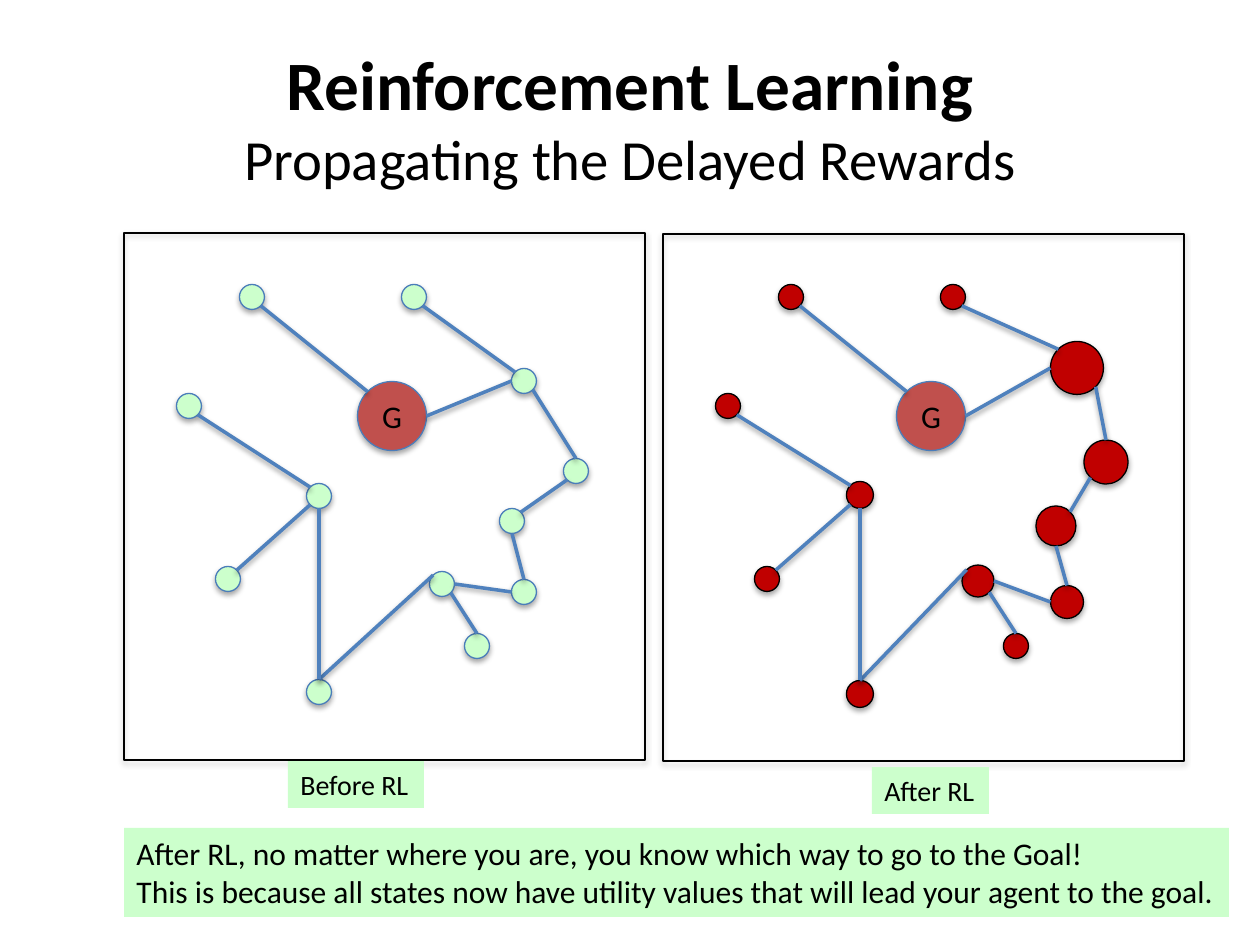
from math import cos, radians, sin

from lxml.etree import SubElement
from pptx import Presentation
from pptx.dml.color import RGBColor
from pptx.enum.shapes import MSO_CONNECTOR as Connector, MSO_SHAPE as Shape
from pptx.enum.text import MSO_ANCHOR as Anchor, MSO_AUTO_SIZE as AutoSize, PP_ALIGN as Align
from pptx.oxml.ns import qn
from pptx.util import Pt

PX = 914400 / 126
BLACK = RGBColor(0x00, 0x00, 0x00)
GOAL_RED = RGBColor(0xC0, 0x50, 0x4D)
VALUE_RED = RGBColor(0xC0, 0x00, 0x00)
MINT = RGBColor(0xCC, 0xFF, 0xCC)
RIM_BLUE = RGBColor(0x4A, 0x7D, 0xBA)
EDGE_BLUE = RGBColor(0x4F, 0x81, 0xBD)

TOP, TOP_LEFT, LEFT, BOTTOM_LEFT, BOTTOM, BOTTOM_RIGHT, RIGHT, TOP_RIGHT = range(8)


def px(*lengths):
    return [round(length * PX) for length in lengths]


def cast_shadow(item, distance, opacity):
    effects = SubElement(item._element.spPr, qn("a:effectLst"))
    shadow = SubElement(effects, qn("a:outerShdw"), blurRad="40000", dist=str(distance),
                        dir="5400000", rotWithShape="0")
    color = SubElement(shadow, qn("a:srgbClr"), val=str(BLACK))
    SubElement(color, qn("a:alpha"), val=str(opacity))


deck = Presentation()
deck.slide_width, deck.slide_height = px(1260, 945)
page = deck.slides.add_slide(deck.slide_layouts[5])

title = page.shapes.title
title.left, title.top, title.width, title.height = px(63, 38, 1134, 157)
title.text_frame.vertical_anchor = Anchor.MIDDLE
para = title.text_frame.paragraphs[0]
para.alignment = Align.CENTER
for text, size, bold in [("Reinforcement Learning", 39.6, True),
                         ("Propagating the Delayed Rewards", 32.4, False)]:
    if para.runs:
        para.add_line_break()
        SubElement(para._p.find(qn("a:br")), qn("a:rPr"), sz="3960")
    span = para.add_run()
    span.text = text
    for name, value in {"name": "Calibri", "size": Pt(size), "bold": bold}.items():
        setattr(span.font, name, value)
    span.font.color.rgb = BLACK

before_states = {
    "goal": (392, 416, 69),
    "north": (414, 297, 25),
    "northeast": (524, 381, 25),
    "southeast": (524, 592, 25),
    "hub": (319, 496, 25),
    "east": (576, 471, 25),
    "northwest": (252, 297, 25),
    "bottom": (319, 692, 25),
    "west": (189, 406, 25),
    "fork": (442, 584, 25),
    "southwest": (228, 579, 25),
    "leaf": (477, 646, 25),
    "bend": (512, 521, 25),
}
after_states = {name: (x + 539, y, size) for name, (x, y, size) in before_states.items()}
after_states.update({
    "northeast": (1077, 368, 53),
    "southeast": (1067, 602, 33),
    "hub": (860, 495, 27),
    "east": (1106, 462, 44),
    "bottom": (860, 694, 27),
    "fork": (978, 581, 32),
    "bend": (1056, 526, 40),
})

paths = [
    ("goal", TOP_LEFT, "northwest", BOTTOM_RIGHT),
    ("goal", RIGHT, "northeast", LEFT),
    ("north", BOTTOM_RIGHT, "northeast", TOP_LEFT),
    ("northeast", BOTTOM_RIGHT, "east", TOP),
    ("east", BOTTOM_LEFT, "bend", TOP_RIGHT),
    ("bend", BOTTOM, "southeast", TOP),
    ("southeast", LEFT, "fork", RIGHT),
    ("fork", TOP_LEFT, "bottom", TOP),
    ("bottom", TOP, "hub", BOTTOM),
    ("hub", TOP_LEFT, "west", BOTTOM_RIGHT),
    ("hub", BOTTOM_LEFT, "southwest", TOP_RIGHT),
    ("fork", BOTTOM_RIGHT, "leaf", TOP),
]

for states, state_fill, state_rim, frame_left, frame_top in [
    (before_states, MINT, RIM_BLUE, 124, 233),
    (after_states, VALUE_RED, BLACK, 663, 234),
]:
    for name, (x, y, size) in states.items():
        is_goal = name == "goal"
        state = page.shapes.add_shape(Shape.OVAL, *px(x - size / 2, y - size / 2, size, size))
        state.fill.solid()
        state.fill.fore_color.rgb = GOAL_RED if is_goal else state_fill
        state.line.color.rgb = RIM_BLUE if is_goal else state_rim
        state.line.width = Pt(0.75)
        cast_shadow(state, 23000, 35000)
        if is_goal:
            state.text_frame.vertical_anchor = Anchor.MIDDLE
            para = state.text_frame.paragraphs[0]
            para.alignment = Align.CENTER
            span = para.add_run()
            span.text = "G"
            for key, value in {"name": "Calibri", "size": Pt(18)}.items():
                setattr(span.font, key, value)
            span.font.color.rgb = BLACK

    frame = page.shapes.add_shape(Shape.RECTANGLE, *px(frame_left, frame_top, 521, 527))
    frame.fill.background()
    frame.line.color.rgb = BLACK
    frame.line.width = Pt(0.75)
    cast_shadow(frame, 23000, 35000)

    for start, start_site, end, end_site in paths:
        points = []
        for name, site in [(start, start_site), (end, end_site)]:
            x, y, size = states[name]
            angle = radians(45 * site)
            points += [x - size / 2 * sin(angle), y - size / 2 * cos(angle)]
        path_line = page.shapes.add_connector(Connector.STRAIGHT, *px(*points))
        path_line.line.color.rgb = EDGE_BLUE
        path_line.line.width = Pt(2)
        cast_shadow(path_line, 20000, 37000)

for bounds, size, lines in [
    ((288, 761, 136, 47), 16, ["Before RL"]),
    ((872, 767, 117, 47), 16, ["After RL"]),
    ((124, 828, 1105, 89), 18, [
        "After RL, no matter where you are, you know which way to go to the Goal!",
        "This is because all states now have utility values that will lead your agent to the goal.",
    ]),
]:
    box = page.shapes.add_textbox(*px(*bounds))
    box.fill.solid()
    box.fill.fore_color.rgb = MINT
    frame = box.text_frame
    for key, value in {"word_wrap": False, "auto_size": AutoSize.SHAPE_TO_FIT_TEXT}.items():
        setattr(frame, key, value)
    for index, text in enumerate(lines):
        para = frame.add_paragraph() if index else frame.paragraphs[0]
        span = para.add_run()
        span.text = text
        for key, value in {"name": "Calibri", "size": Pt(size)}.items():
            setattr(span.font, key, value)
        span.font.color.rgb = BLACK

deck.save("out.pptx")
